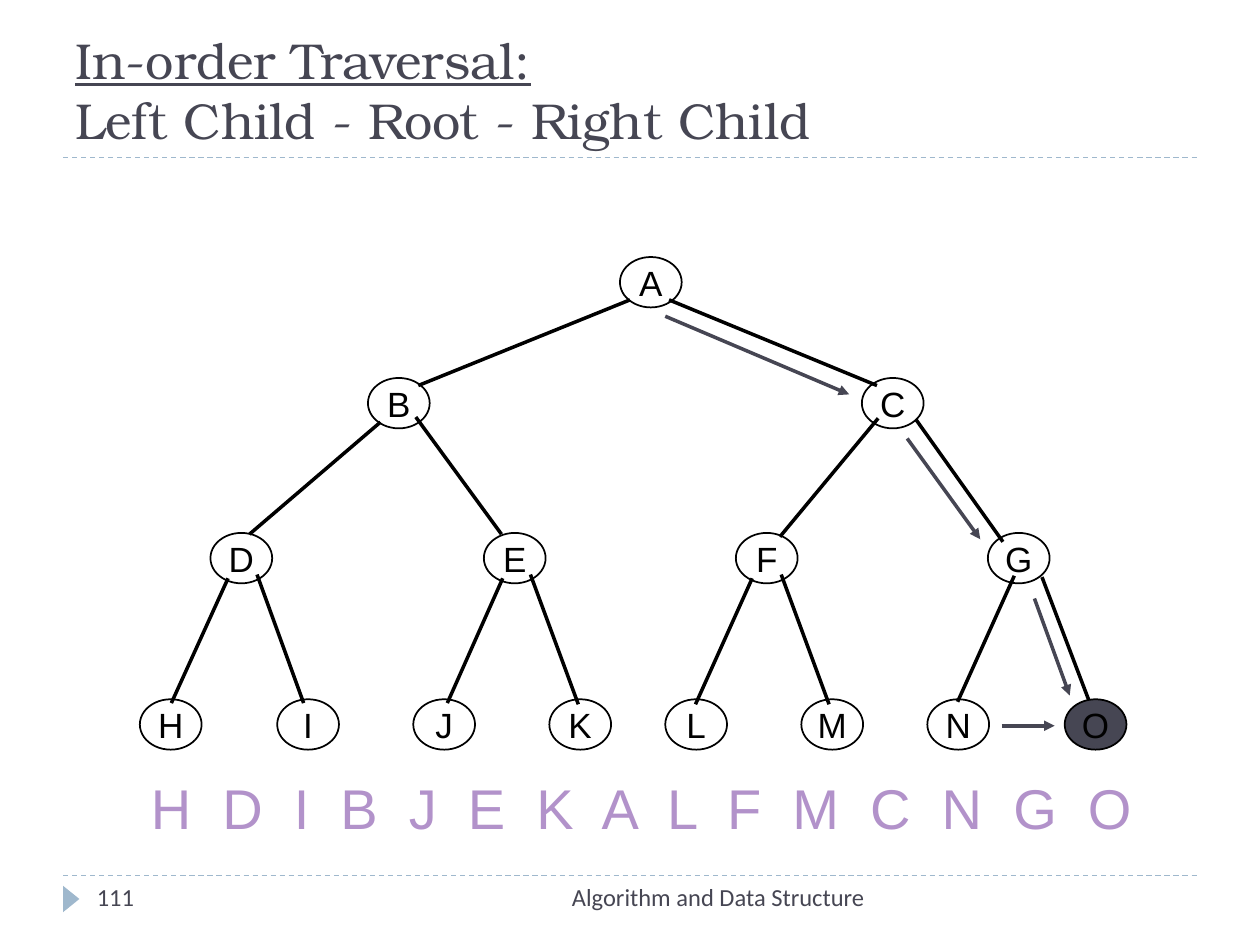
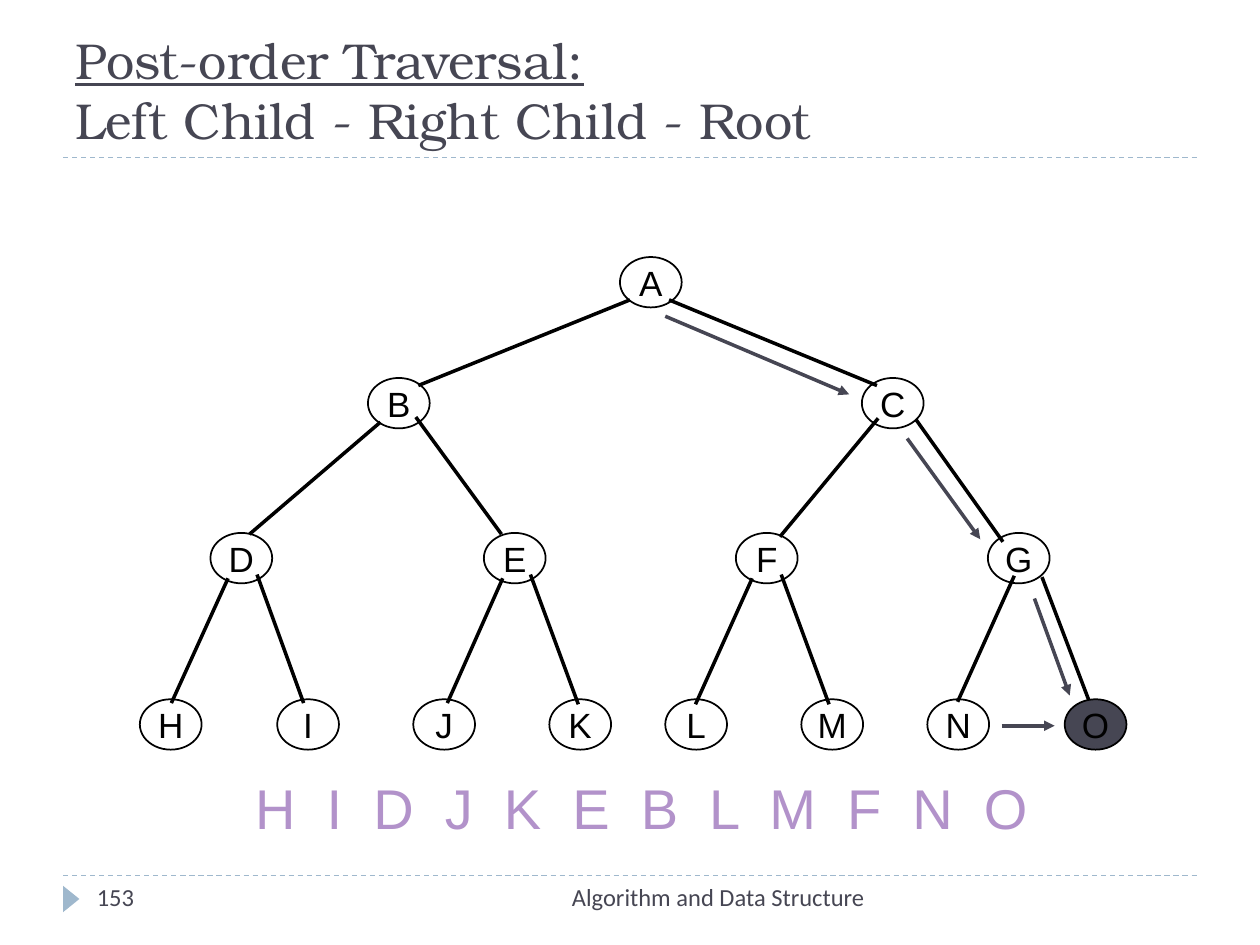
from lxml.etree import SubElement
from pptx import Presentation
from pptx.dml.color import RGBColor
from pptx.enum.dml import MSO_LINE
from pptx.enum.shapes import MSO_CONNECTOR, MSO_SHAPE
from pptx.enum.text import MSO_ANCHOR, PP_ALIGN
from pptx.oxml.ns import qn
from pptx.util import Inches, Pt

INK, BLACK, WHITE = "464653", "000000", "FFFFFF"
ACCENT, LILAC = "9FB8CD", "B292CA"

# Tree levels: top of the level, then the left edge of each node
NODE_WIDTH, NODE_HEIGHT = 0.49, 0.4
LEVELS = [
    (2.04, {"A": 4.92}),
    (3.0, {"B": 2.92, "C": 6.84}),
    (4.23, {"D": 1.67, "E": 3.84, "F": 5.84, "G": 7.84}),
    (5.55, {"H": 1.11, "I": 2.2, "J": 3.28, "K": 4.36,
            "L": 5.28, "M": 6.36, "N": 7.36, "O": 8.45}),
]
CURRENT_NODE = "O"

# Lines as (x1, y1, x2, y2)
EDGE_BEHIND_NODES = (8.27, 4.58, 8.65, 5.58)
EDGES = [
    (5, 2.38, 3.32, 3.06), (5.31, 2.38, 6.96, 3.06),
    (3.02, 3.35, 1.98, 4.24), (3.3, 3.31, 3.98, 4.24),
    (6.97, 3.32, 6.19, 4.26), (7.27, 3.33, 7.96, 4.3),
    (1.81, 4.59, 1.36, 5.58), (2.04, 4.56, 2.41, 5.58),
    (3.99, 4.59, 3.55, 5.58), (4.21, 4.56, 4.59, 5.59),
    (5.97, 4.59, 5.52, 5.59), (6.2, 4.56, 6.58, 5.59),
    (8.05, 4.57, 7.6, 5.57),
]
STEPS = [
    (8.21, 4.75, 8.49, 5.52), (5.28, 2.51, 6.74, 3.13),
    (7.2, 3.48, 7.78, 4.28), (7.95, 5.76, 8.37, 5.76),
]

# Heading, visiting rule, visited nodes, slide number
TRAVERSALS = [
    ("In-order Traversal:", "Left Child - Root - Right Child", "HDIBJEKALFMCNGO", "111"),
    ("Post-order Traversal:", "Left Child - Right Child - Root", "HIDJKEBLMFNO", "153"),
]


def color(value):
    return RGBColor.from_string(value)


class TraversalDeck:
    def __init__(self):
        self.presentation = Presentation()
        self.presentation.slide_width = Inches(10)
        self.presentation.slide_height = Inches(7.5)
        self.slide = None

    def add_slide(self):
        self.slide = self.presentation.slides.add_slide(self.presentation.slide_layouts[6])

    def set_font(self, paragraph, name, size, ink):
        paragraph.font.name = name
        paragraph.font.size = Pt(size)
        paragraph.font.color.rgb = color(ink)

    def text(self, box, font, align=PP_ALIGN.LEFT, anchor=MSO_ANCHOR.TOP):
        """Add an empty text box and return its paragraph."""
        frame = self.slide.shapes.add_textbox(*map(Inches, box)).text_frame
        frame.word_wrap = True
        frame.vertical_anchor = anchor
        paragraph = frame.paragraphs[0]
        paragraph.alignment = align
        self.set_font(paragraph, *font)
        return paragraph

    def line(self, ends, ink, width, dashed=False, arrow=False):
        connector = self.slide.shapes.add_connector(MSO_CONNECTOR.STRAIGHT, *map(Inches, ends))
        connector.line.color.rgb = color(ink)
        connector.line.width = Pt(width)
        if dashed:
            connector.line.dash_style = MSO_LINE.DASH
        if arrow:
            SubElement(connector.line._get_or_add_ln(), qn("a:tailEnd"), type="triangle")
        SubElement(connector._element.spPr, qn("a:effectLst"))

    def shape(self, kind, box, fill):
        shape = self.slide.shapes.add_shape(kind, *map(Inches, box))
        shape.shadow.inherit = False
        shape.fill.solid()
        shape.fill.fore_color.rgb = color(fill)
        shape.line.fill.background()
        return shape

    def node(self, letter, left, top):
        fill = INK if letter == CURRENT_NODE else WHITE
        shape = self.shape(MSO_SHAPE.OVAL, (left, top, NODE_WIDTH, NODE_HEIGHT), fill)
        shape.line.color.rgb = color(BLACK)
        shape.line.width = Pt(1)
        frame = shape.text_frame
        frame.margin_left = frame.margin_right = frame.margin_top = frame.margin_bottom = 0
        frame.word_wrap = False
        paragraph = frame.paragraphs[0]
        paragraph.text = letter
        paragraph.alignment = PP_ALIGN.CENTER
        self.set_font(paragraph, "Arial", 20, BLACK)

    def frame(self, number):
        for y in (6.95, 1.25):
            self.line((0.5, y, 9.5, y), ACCENT, 0.75, dashed=True)
        marker = self.shape(MSO_SHAPE.ISOSCELES_TRIANGLE, (0.46, 7.07, 0.21, 0.13), ACCENT)
        marker.rotation = 90
        font = ("Calibri", 14, INK)
        footer = self.text((3.17, 6.95, 3.79, 0.4), font, PP_ALIGN.RIGHT)
        footer.add_run().text = "Algorithm and Data Structure"
        self.text((0.67, 6.95, 2.17, 0.4), font).add_run().text = number

    def title(self, heading, rule):
        paragraph = self.text((0.5, 0.17, 9, 1.08), ("TeX Gyre Bonum", 28.8, INK),
                              anchor=MSO_ANCHOR.MIDDLE)
        run = paragraph.add_run()
        run.text = heading
        run.font.underline = True
        paragraph.add_line_break()
        paragraph.add_run().text = rule

    def tree(self):
        self.line(EDGE_BEHIND_NODES, BLACK, 2)
        for top, nodes in LEVELS:
            for letter, left in nodes.items():
                self.node(letter, left, top)
        for edge in EDGES:
            self.line(edge, BLACK, 2)
        for step in STEPS:
            self.line(step, INK, 2, arrow=True)

    def visited(self, letters):
        """Write the visited nodes, widely spaced and with a text shadow."""
        paragraph = self.text((1.07, 6.09, 8.05, 0.63), ("Arial", 32, LILAC), PP_ALIGN.CENTER)
        run = paragraph.add_run()
        run.text = " ".join(letters)
        run.font.color.rgb = color(LILAC)
        properties = run.font._element
        properties.set("spc", "445")
        effects = SubElement(properties, qn("a:effectLst"))
        shadow = SubElement(effects, qn("a:outerShdw"), dist="38100", dir="2700000")
        SubElement(shadow, qn("a:srgbClr"), val=BLACK)


def main():
    deck = TraversalDeck()
    for heading, rule, letters, number in TRAVERSALS:
        deck.add_slide()
        deck.frame(number)
        deck.tree()
        deck.title(heading, rule)
        deck.visited(letters)
    deck.presentation.save("out.pptx")


if __name__ == "__main__":
    main()
